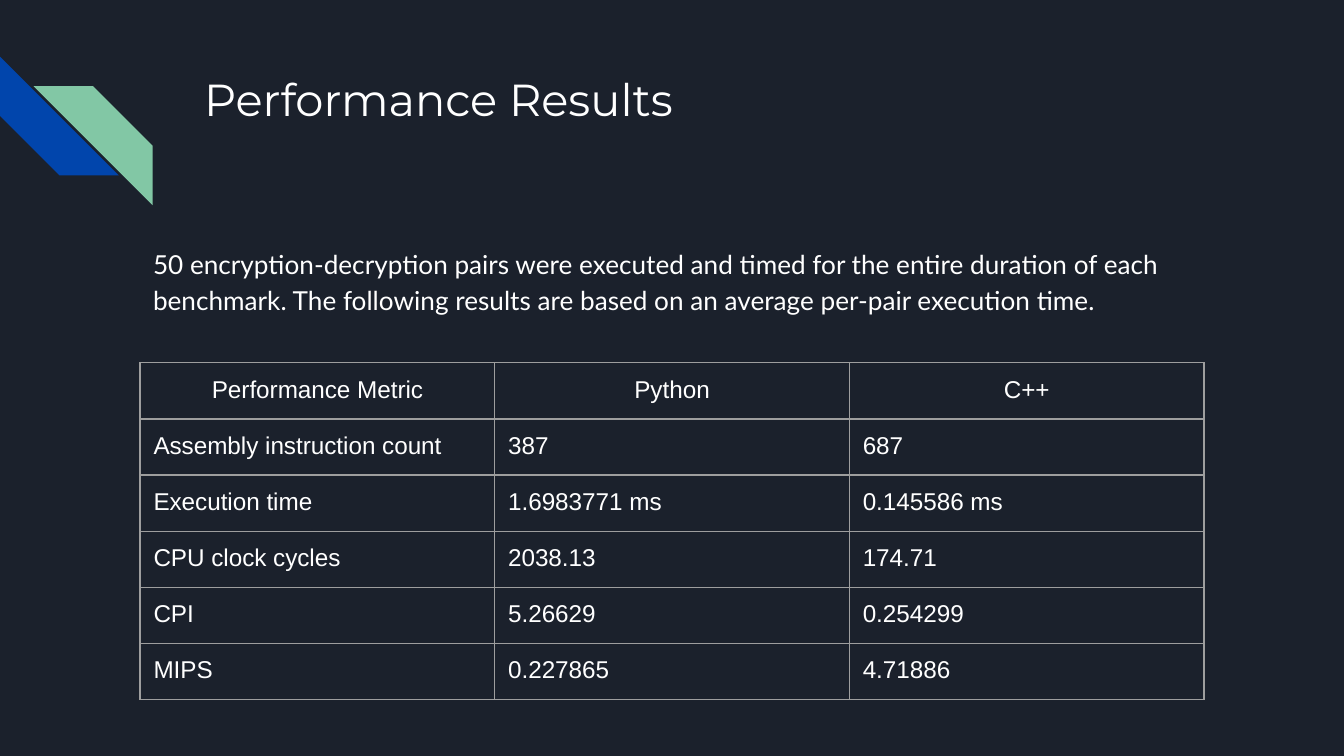
from dataclasses import dataclass

from lxml import etree
from pptx import Presentation
from pptx.dml.color import RGBColor
from pptx.enum.shapes import MSO_SHAPE
from pptx.enum.text import MSO_ANCHOR, PP_ALIGN
from pptx.oxml.ns import qn
from pptx.util import Inches, Pt

STRIPE = MSO_SHAPE.DIAGONAL_STRIPE
TOP = MSO_ANCHOR.TOP
LEFT, CENTER = PP_ALIGN.LEFT, PP_ALIGN.CENTER
SIDES = ("a:lnL", "a:lnR", "a:lnT", "a:lnB")


@dataclass(frozen=True)
class Theme:
    """Colours, fonts and sizes of the deck."""

    back: str = "1B212C"
    text: str = "FFFFFF"
    blue: str = "0145AC"
    green: str = "82C7A5"
    rule: str = "9E9E9E"
    rule_width: float = 0.75
    title: tuple = ("Montserrat", 24)
    body: tuple = ("Lato", 14)
    cell: tuple = ("Arial", 13)
    inset: float = 0.1


class Deck:
    """Draws elements on a grid of tenths of an inch."""

    def __init__(self, theme, cols, rows):
        """Open a blank slide of the given grid size."""
        self.theme = theme
        self.file = Presentation()
        self.file.slide_width = self.unit(cols)
        self.file.slide_height = self.unit(rows)
        self.slide = self.file.slides.add_slide(self.file.slide_layouts[6])
        fill = self.slide.background.fill
        fill.solid()
        fill.fore_color.rgb = RGBColor.from_string(theme.back)

    def unit(self, count):
        """Turn grid steps into a length."""
        return Inches(count / 10)

    def place(self, *box):
        """Turn a grid box into lengths."""
        return [self.unit(side) for side in box]

    def style(self, frame, face, align=LEFT):
        """Format the text of a frame."""
        name, size = face
        for para in frame.paragraphs:
            para.alignment = align
            for run in para.runs:
                run.font.name = name
                run.font.size = Pt(size)
                run.font.color.rgb = RGBColor.from_string(self.theme.text)

    def pad(self, item):
        """Set equal margins on a frame or cell."""
        item.margin_left = item.margin_right = Inches(self.theme.inset)
        item.margin_top = item.margin_bottom = Inches(self.theme.inset)
        item.vertical_anchor = TOP

    def stripe(self, box, color, turn):
        """Add a turned diagonal stripe."""
        shape = self.slide.shapes.add_shape(STRIPE, *self.place(*box))
        shape.adjustments[0] = 0.5
        shape.rotation = turn
        shape.shadow.inherit = False
        shape.fill.solid()
        shape.fill.fore_color.rgb = RGBColor.from_string(color)
        shape.line.fill.background()

    def text(self, box, words, face):
        """Add a wrapped text box and return its paragraph."""
        frame = self.slide.shapes.add_textbox(*self.place(*box)).text_frame
        frame.word_wrap = True
        self.pad(frame)
        frame.text = words
        self.style(frame, face)
        return frame.paragraphs[0]

    def border(self, cell):
        """Rule all four sides of a cell."""
        props = cell._tc.get_or_add_tcPr()
        for side in SIDES:
            line = etree.SubElement(props, qn(side), w=str(Pt(self.theme.rule_width)))
            fill = etree.SubElement(line, qn("a:solidFill"))
            etree.SubElement(fill, qn("a:srgbClr"), val=self.theme.rule)

    def table(self, box, data):
        """Add a ruled table with a centred head row."""
        frame = self.slide.shapes.add_table(len(data), len(data[0]), *self.place(*box))
        table = frame.table
        table.first_row = table.horz_banding = False
        for row, line in enumerate(data):
            for col, words in enumerate(line):
                cell = table.cell(row, col)
                cell.text = words
                self.pad(cell)
                self.style(cell.text_frame, self.theme.cell, LEFT if row else CENTER)
                self.border(cell)
                cell.fill.background()

    def save(self):
        """Write the file."""
        self.file.save("out.pptx")


DATA = (
    ("Performance Metric", "Python", "C++"),
    ("Assembly instruction count", "387", "687"),
    ("Execution time", "1.6983771 ms", "0.145586 ms"),
    ("CPU clock cycles", "2038.13", "174.71"),
    ("CPI", "5.26629", "0.254299"),
    ("MIPS", "0.227865", "4.71886"),
)
INTRO = (
    "50 encryption-decryption pairs were executed and timed for the entire "
    "duration of each benchmark. The following results are based on an "
    "average per-pair execution time."
)


def main():
    """Build the results slide."""
    theme = Theme()
    deck = Deck(theme, 100, 56.25)
    deck.stripe((0, 4.2, 8.85, 8.85), theme.blue, 270)
    deck.stripe((2.5, 6.42, 8.85, 8.85), theme.green, 90)
    deck.text((14.2, 4.35, 77, 10), "Performance Results", theme.title)
    deck.table((10.42, 27, 79.16, 25), DATA)
    intro = deck.text((10.4, 17.15, 79.2, 9.1), INTRO, theme.body)
    intro.line_spacing = 1.15
    intro.space_after = Pt(12)
    deck.save()


if __name__ == "__main__":
    main()
